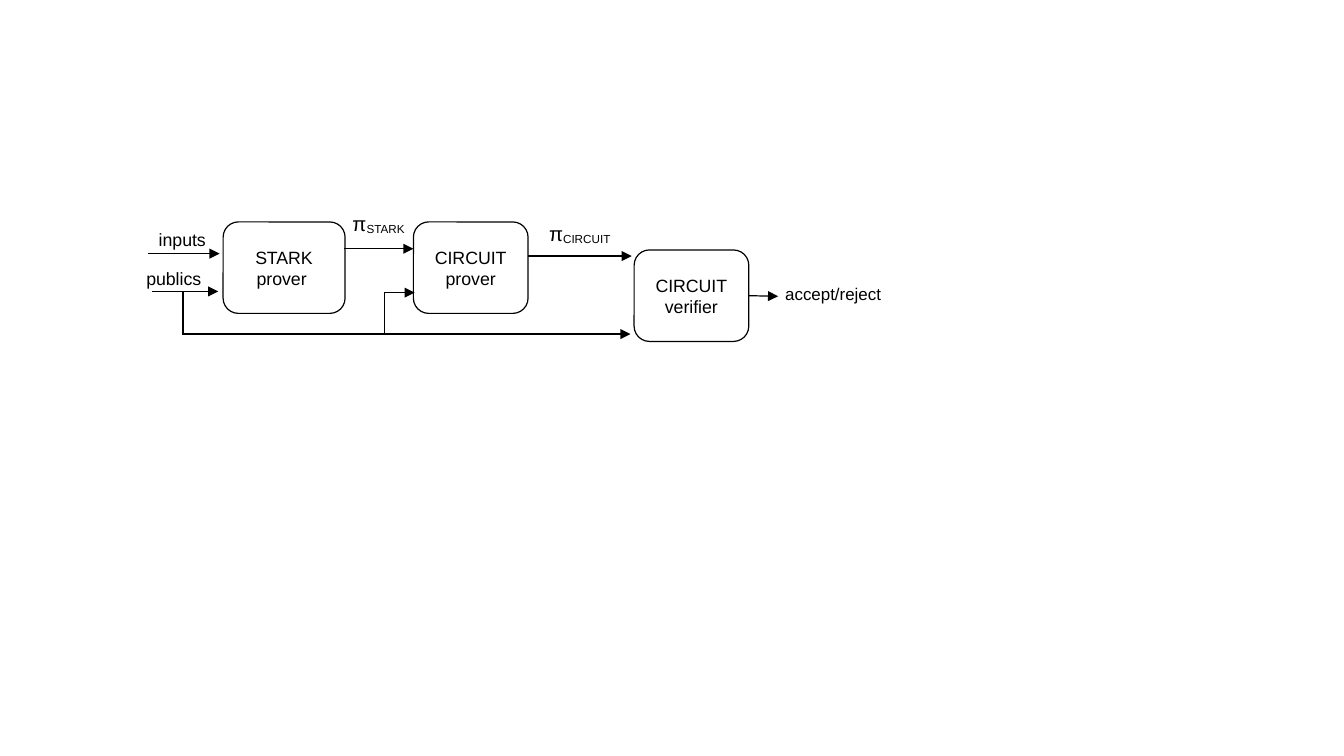
import pptx
import pptx.util
import pptx.dml.color
import pptx.enum.shapes
import pptx.enum.text
import pptx.oxml.ns
from lxml import etree

Inches = pptx.util.Inches
Pt = pptx.util.Pt
BLACK = pptx.dml.color.RGBColor(0x00, 0x00, 0x00)
WHITE = pptx.dml.color.RGBColor(0xFF, 0xFF, 0xFF)
LINE_WIDTH = Pt(0.71)
CENTER = pptx.enum.text.PP_ALIGN.CENTER
LEFT = pptx.enum.text.PP_ALIGN.LEFT


def write_lines(shape, lines, size, alignment):
    """Fill a shape with paragraphs, each a list of runs; runs after the first are subscripts."""
    frame = shape.text_frame
    frame.word_wrap = True
    frame.vertical_anchor = pptx.enum.text.MSO_ANCHOR.MIDDLE
    for index, spans in enumerate(lines):
        para = frame.add_paragraph() if index else frame.paragraphs[0]
        para.alignment = alignment
        para.font.name = "Arial"
        para.font.size = Pt(size)
        para.font.color.rgb = BLACK
        for position, text in enumerate(spans):
            span = para.add_run()
            span.text = text
            if position:
                span.font._element.set("baseline", "-8000")


def add_line(start, end, arrow=True):
    line = page.shapes.add_connector(
        pptx.enum.shapes.MSO_CONNECTOR.STRAIGHT, *map(Inches, start + end))
    line.line.color.rgb = BLACK
    line.line.width = LINE_WIDTH
    if arrow:
        etree.SubElement(line.line._get_or_add_ln(),
                         pptx.oxml.ns.qn("a:tailEnd"), type="triangle")
    etree.SubElement(line._element.spPr, pptx.oxml.ns.qn("a:effectLst"))
    return line


deck = pptx.Presentation()
deck.slide_width = Inches(11.02)
deck.slide_height = Inches(6.2)
page = deck.slides.add_slide(deck.slide_layouts[6])

# Stages: left, top, width, lines
stages = [
    (1.83, 1.82, 1, ["STARK", "prover "]),
    (3.39, 1.82, 0.94, ["CIRCUIT", "prover"]),
    (5.2, 2.05, 0.94, ["CIRCUIT", "verifier"]),
]
for left, top, width, lines in stages:
    box = page.shapes.add_shape(
        pptx.enum.shapes.MSO_SHAPE.ROUNDED_RECTANGLE,
        Inches(left), Inches(top), Inches(width), Inches(0.75))
    box.shadow.inherit = False
    box.fill.solid()
    box.fill.fore_color.rgb = WHITE
    box.line.color.rgb = BLACK
    box.line.width = LINE_WIDTH
    write_lines(box, [[line] for line in lines], 10.5, CENTER)
verifier = box

arrows = [
    ((1.21, 2.08), (1.8, 2.08)),    # inputs
    ((1.25, 2.39), (1.79, 2.39)),   # publics
    ((2.82, 2.04), (3.39, 2.04)),   # STARK proof
    ((4.33, 2.1), (5.18, 2.1)),     # CIRCUIT proof
    ((3.15, 2.4), (3.4, 2.4)),      # publics to CIRCUIT prover
    ((1.5, 2.74), (5.17, 2.74)),    # publics to verifier
]
for start, end in arrows:
    add_line(start, end)
for x, top in [(1.5, 2.39), (3.15, 2.4)]:
    add_line((x, top), (x, 2.75), arrow=False)
verdict = add_line((6.14, 2.43), (6.38, 2.43))
verdict.begin_connect(verifier, 3)

# Labels: left, top, width, height, runs, size, alignment
labels = [
    (1.12, 1.83, 0.75, 0.26, ["inputs"], 10.5, CENTER),
    (1.05, 2.15, 0.75, 0.26, ["publics"], 10.5, CENTER),
    (2.73, 1.69, 0.75, 0.29, ["π", "STARK"], 12, CENTER),
    (4.38, 1.77, 0.75, 0.29, ["π", "CIRCUIT"], 12, CENTER),
    (6.34, 2.28, 1.08, 0.25, ["accept/reject"], 10, LEFT),
]
for left, top, width, height, spans, size, alignment in labels:
    label = page.shapes.add_textbox(
        Inches(left), Inches(top), Inches(width), Inches(height))
    write_lines(label, [spans], size, alignment)

deck.save("out.pptx")
